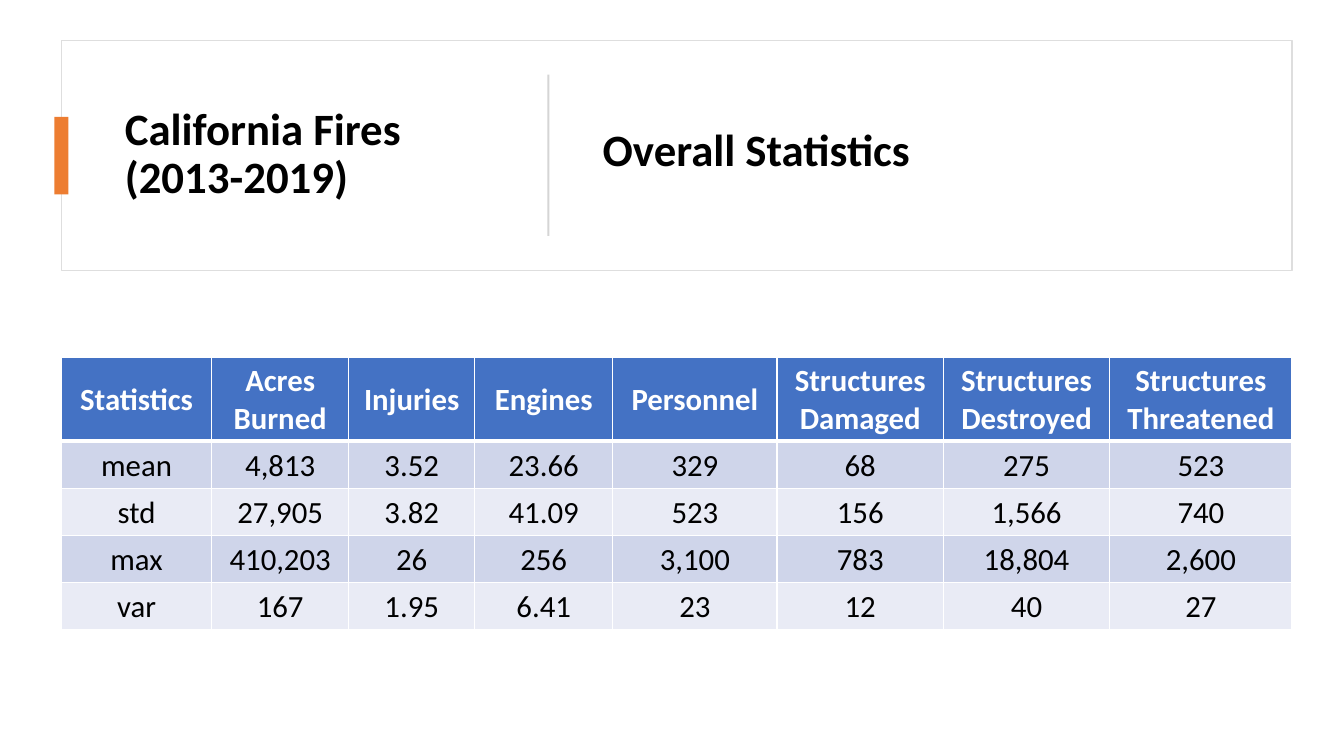
"""Build a slide with overall statistics on California fires."""
from dataclasses import dataclass

from lxml import etree
from pptx import Presentation
from pptx.dml.color import RGBColor
from pptx.enum.shapes import MSO_SHAPE
from pptx.enum.text import MSO_ANCHOR, PP_ALIGN
from pptx.oxml.ns import qn
from pptx.util import Pt

RECTANGLE = MSO_SHAPE.RECTANGLE
MIDDLE = MSO_ANCHOR.MIDDLE
CENTER = PP_ALIGN.CENTER
LEFT = PP_ALIGN.LEFT


@dataclass(frozen=True)
class Theme:
    """Colours, font and type sizes of the slide."""

    font: str = "Calibri"
    heading_size: float = 32
    table_size: float = 22
    ink: str = "000000"
    paper: str = "FFFFFF"
    outline: str = "DEDEDE"
    shadow: str = "C5C3C3"
    accent: str = "ED7D31"
    divider: str = "D5D5D5"
    header: str = "4472C4"
    bands: tuple = ("CFD5EA", "E9EBF5")


THEME = Theme()
COLUMN_WIDTHS = (107.3, 97.9, 90, 98.6, 117.4, 118.8, 118.8, 130.3)
ROW_HEIGHTS = (59.8, 33.7, 33.7, 33.7, 33.7)
STATISTICS = (
    ("Statistics", "Acres Burned", "Injuries", "Engines", "Personnel",
     "Structures Damaged", "Structures Destroyed", "Structures Threatened"),
    ("mean", "4,813", "3.52", "23.66", "329", "68", "275", "523"),
    ("std", "27,905", "3.82", "41.09", "523", "156", "1,566", "740"),
    ("max", "410,203", "26", "256", "3,100", "783", "18,804", "2,600"),
    ("var", "167", "1.95", "6.41", "23", "12", "40", "27"),
)


def write_text(frame, text, size, color=THEME.ink, bold=False, align=LEFT, spacing=1.0):
    """Write one formatted paragraph into a text frame."""
    para = frame.paragraphs[0]
    para.alignment = align
    para.line_spacing = spacing
    span = para.add_run()
    span.text = text
    span.font.name = THEME.font
    span.font.size = Pt(size)
    span.font.bold = bold
    span.font.color.rgb = RGBColor.from_string(color)


def add_solid(parent, color, alpha=None):
    """Append a solid fill element to a drawing element."""
    solid = etree.SubElement(parent, qn("a:solidFill"))
    paint = etree.SubElement(solid, qn("a:srgbClr"), val=color)
    if alpha is not None:
        etree.SubElement(paint, qn("a:alpha"), val=str(alpha * 1000))


def add_rectangle(page, left, top, width, height, fill, line=None):
    """Add a plain rectangle with an optional outline."""
    box = page.shapes.add_shape(RECTANGLE, Pt(left), Pt(top), Pt(width), Pt(height))
    box.shadow.inherit = False
    box.fill.solid()
    box.fill.fore_color.rgb = RGBColor.from_string(fill)
    if line:
        box.line.color.rgb = RGBColor.from_string(line)
        box.line.width = Pt(1)
    else:
        box.line.fill.background()
    return box


def cast_shadow(box, color, alpha, blur, distance, angle):
    """Give a shape a soft outer shadow."""
    effects = box.element.spPr.find(qn("a:effectLst"))
    shadow = etree.SubElement(
        effects, qn("a:outerShdw"), blurRad=str(Pt(blur)), dist=str(Pt(distance)),
        dir=str(angle * 60000), algn="tl", rotWithShape="0")
    add_solid(shadow, color, alpha)


def add_heading(page, text, left, top, width, height):
    """Add a bold heading, centred vertically in its box."""
    box = page.shapes.add_textbox(Pt(left), Pt(top), Pt(width), Pt(height))
    frame = box.text_frame
    frame.word_wrap = True
    frame.vertical_anchor = MIDDLE
    write_text(frame, text, THEME.heading_size, bold=True, spacing=0.9)


def set_borders(cell, color, **widths):
    """Draw the cell borders named L, R, T and B."""
    properties = cell._tc.get_or_add_tcPr()
    for index, side in enumerate("LRTB"):
        line = etree.Element(qn(f"a:ln{side}"), w=str(Pt(widths.get(side, 1))))
        add_solid(line, color)
        properties.insert(index, line)


def format_cell(cell, text, row):
    """Fill, border and write one table cell by its row."""
    is_header = row == 0
    fill = THEME.header if is_header else THEME.bands[(row - 1) % 2]
    cell.fill.solid()
    cell.fill.fore_color.rgb = RGBColor.from_string(fill)
    cell.vertical_anchor = MIDDLE
    cell.margin_left = cell.margin_right = cell.margin_top = Pt(1.5)
    cell.margin_bottom = Pt(0)
    set_borders(cell, THEME.paper, T=3 if row == 1 else 1, B=3 if is_header else 1)
    write_text(cell.text_frame, text, THEME.table_size, bold=is_header, align=CENTER,
               color=THEME.paper if is_header else THEME.ink)


def add_statistics_table(page, left, top):
    """Add the table of fire statistics."""
    frame = page.shapes.add_table(
        len(ROW_HEIGHTS), len(COLUMN_WIDTHS), Pt(left), Pt(top),
        Pt(sum(COLUMN_WIDTHS)), Pt(sum(ROW_HEIGHTS)))
    table = frame.table
    for column, width in zip(table.columns, COLUMN_WIDTHS):
        column.width = Pt(width)
    for row, (height, texts) in enumerate(zip(ROW_HEIGHTS, STATISTICS)):
        table.rows[row].height = Pt(height)
        for column, text in enumerate(texts):
            format_cell(table.cell(row, column), text, row)


def main():
    """Build and save the deck."""
    deck = Presentation()
    deck.slide_width, deck.slide_height = Pt(960), Pt(540)
    page = deck.slides.add_slide(deck.slide_layouts[6])
    panel = add_rectangle(page, 43.9, 28.8, 879.1, 164.4, THEME.paper, line=THEME.outline)
    cast_shadow(panel, THEME.shadow, alpha=50, blur=4, distance=3, angle=45)
    add_heading(page, "California Fires (2013-2019)", 82.1, 46.1, 280.1, 129.6)
    add_rectangle(page, 38.9, 83.5, 10.1, 55.4, THEME.accent)
    divider = add_rectangle(page, 334.1, 110.2, 115.2, 1.4, THEME.divider)
    divider.rotation = 90
    add_statistics_table(page, 43.9, 255.2)
    add_heading(page, "Overall Statistics", 423.4, 43.9, 409, 129.6)
    deck.save("out.pptx")


if __name__ == "__main__":
    main()
